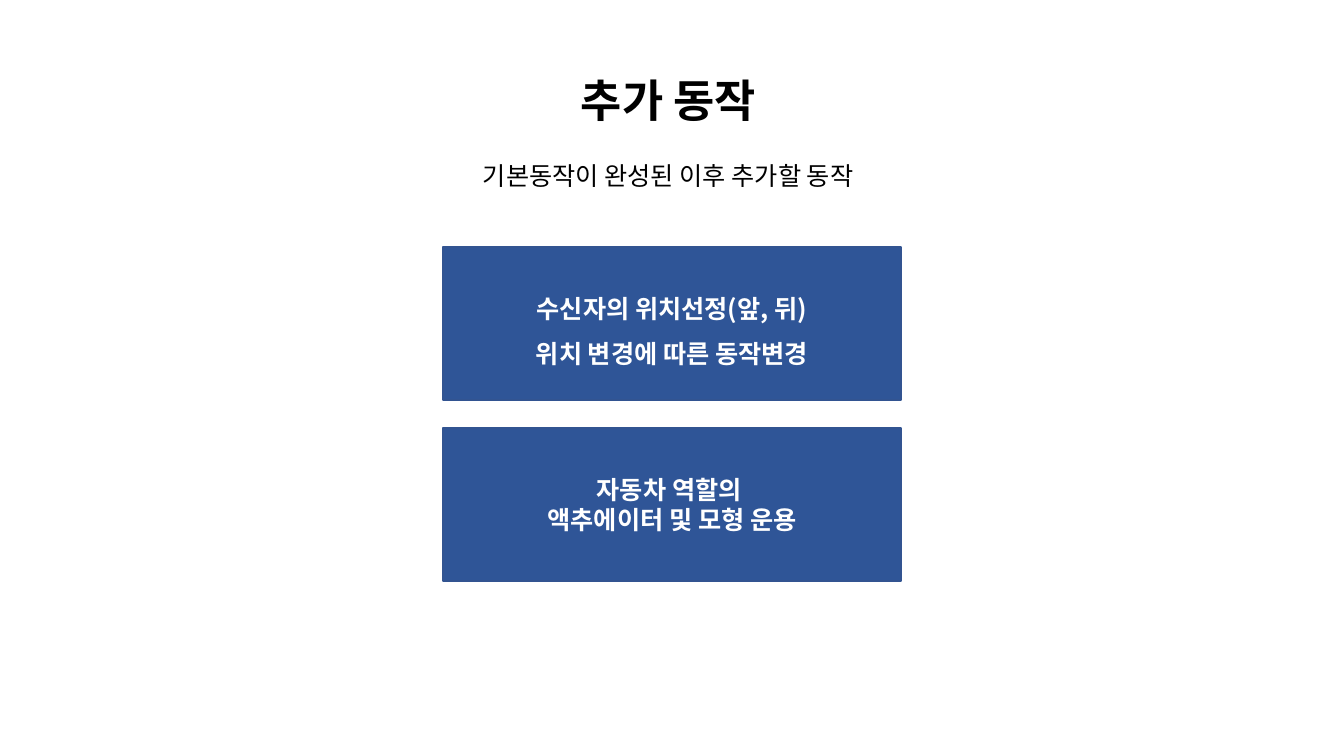
from lxml.etree import SubElement
from pptx import Presentation
from pptx.dml.color import RGBColor
from pptx.enum.shapes import MSO_SHAPE
from pptx.enum.text import MSO_ANCHOR, MSO_AUTO_SIZE, PP_ALIGN
from pptx.oxml.ns import qn
from pptx.util import Emu, Pt

FONT = "Noto Sans CJK KR"
SLIDE_WIDTH, SLIDE_HEIGHT = 1344, 756
BOX_LEFT, BOX_TOP, BOX_WIDTH, BOX_HEIGHT = 443, 247, 458, 153
BOX_PITCH = 181


def px(length):
    return Emu(round(length * 914400 / 100.8))


def color(hex_value):
    return RGBColor.from_string(hex_value)


def style_paragraph(paragraph, size, hex_color, bold):
    font = paragraph.font
    font.size = Pt(size)
    font.bold = bold
    font.color.rgb = color(hex_color)
    font.name = FONT
    # Hangul takes the East Asian typeface
    properties = paragraph._p.pPr.find(qn("a:defRPr"))
    SubElement(properties, qn("a:ea")).set("typeface", FONT)


def add_heading(slide, text, left, top, width, height, size, bold=False):
    shape = slide.shapes.add_textbox(px(left), px(top), px(width), px(height))
    frame = shape.text_frame
    frame.word_wrap = False
    frame.auto_size = MSO_AUTO_SIZE.SHAPE_TO_FIT_TEXT
    frame.text = text
    style_paragraph(frame.paragraphs[0], size, "000000", bold)


def add_action_box(slide, top, lines, line_spacing):
    shape = slide.shapes.add_shape(
        MSO_SHAPE.RECTANGLE, px(BOX_LEFT), px(top), px(BOX_WIDTH), px(BOX_HEIGHT)
    )
    shape.shadow.inherit = False
    shape.fill.solid()
    shape.fill.fore_color.rgb = color("2F5597")
    shape.line.color.rgb = color("325491")
    shape.line.width = Pt(1)
    frame = shape.text_frame
    frame.vertical_anchor = MSO_ANCHOR.MIDDLE
    frame.text = "\n".join(lines)
    for paragraph in frame.paragraphs:
        paragraph.alignment = PP_ALIGN.CENTER
        paragraph.line_spacing = line_spacing
        style_paragraph(paragraph, 18, "FFFFFF", True)


def main():
    presentation = Presentation()
    presentation.slide_width = px(SLIDE_WIDTH)
    presentation.slide_height = px(SLIDE_HEIGHT)
    slide = presentation.slides.add_slide(presentation.slide_layouts[6])

    # Title and subtitle
    add_heading(slide, "추가 동작", 571, 68, 202, 64, 32, bold=True)
    add_heading(slide, "기본동작이 완성된 이후 추가할 동작", 473, 155, 397, 40, 18)

    # Additional actions
    actions = [
        (["수신자의 위치선정(앞, 뒤)", "위치 변경에 따른 동작변경"], 1.5),
        (["자동차 역할의 ", "액추에이터 및 모형 운용"], 1.0),
    ]
    for index, (lines, line_spacing) in enumerate(actions):
        add_action_box(slide, BOX_TOP + index * BOX_PITCH, lines, line_spacing)

    presentation.save("out.pptx")


if __name__ == "__main__":
    main()
